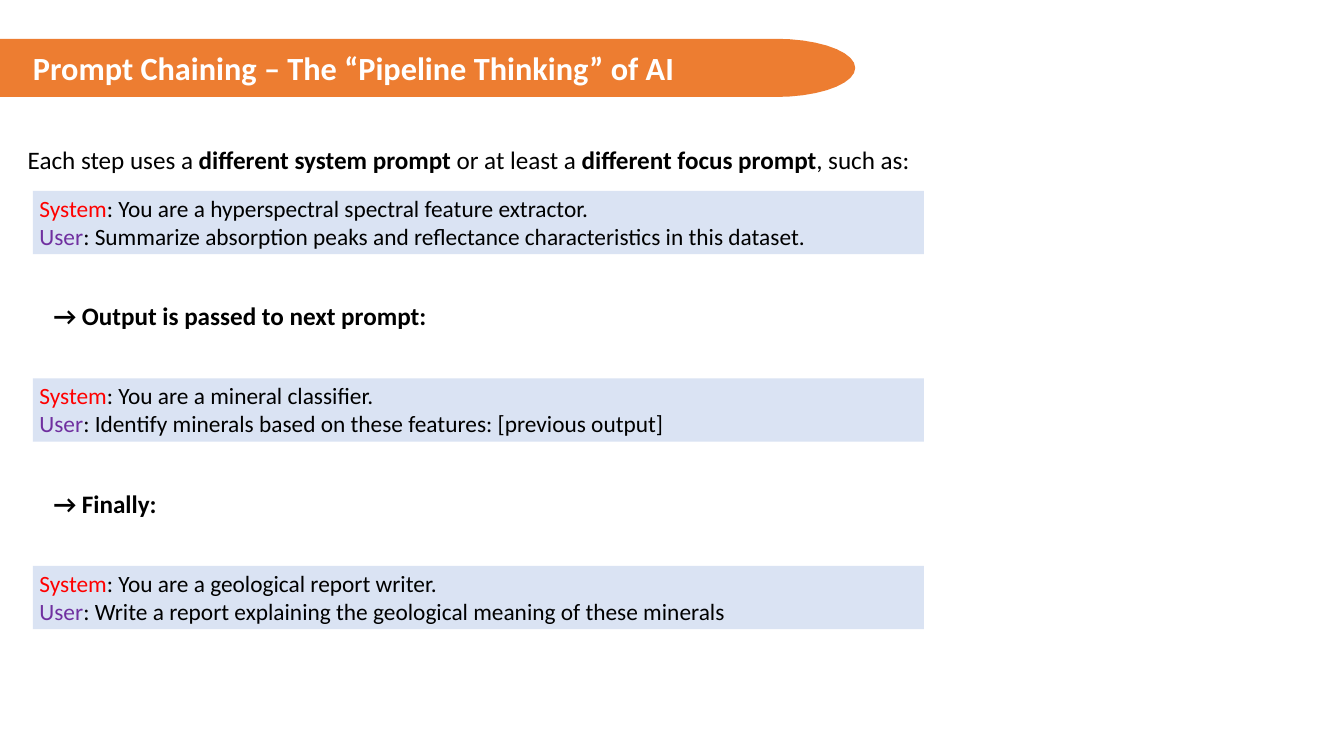
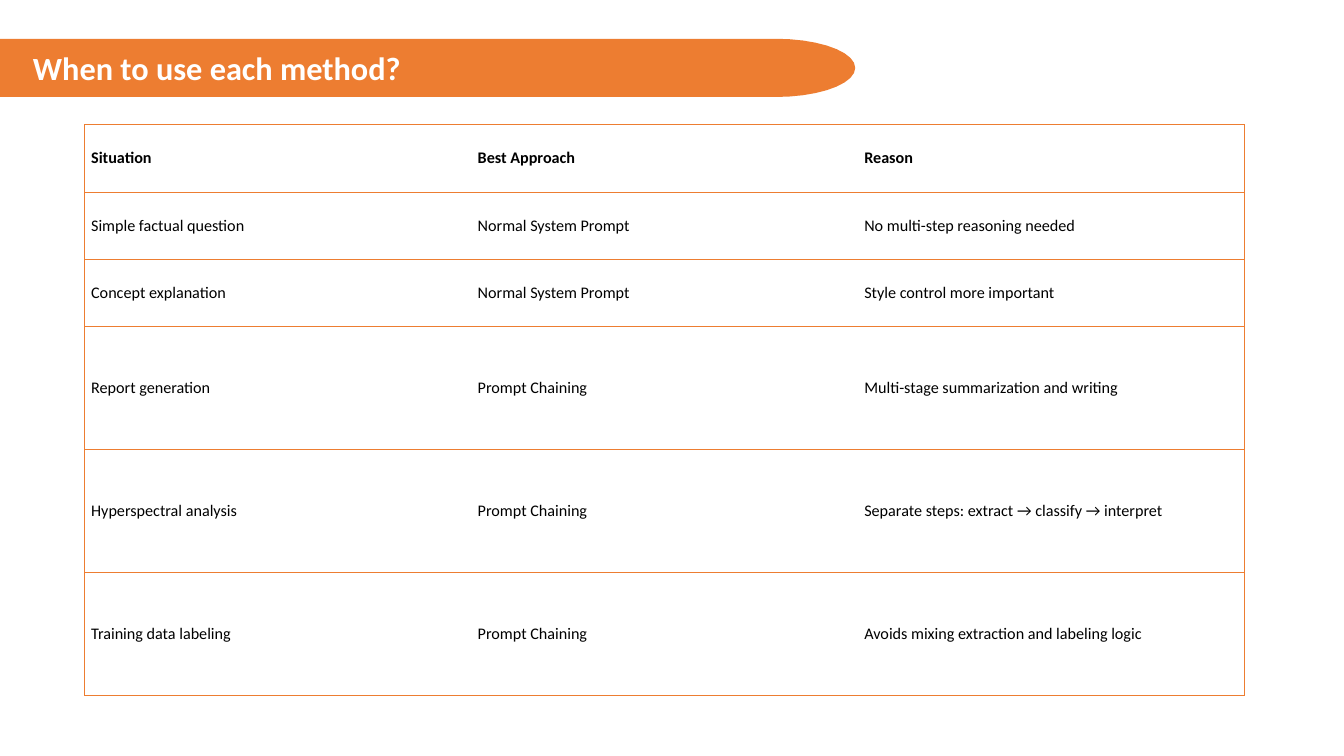
"""Build two slides on prompt chaining: a worked pipeline and a method table."""
import math

from lxml import etree
from pptx import Presentation
from pptx.dml.color import RGBColor
from pptx.enum import shapes, text
from pptx.oxml import ns
from pptx.util import Inches, Pt

FONT = "Calibri"
ORANGE = RGBColor(0xED, 0x7D, 0x31)
PALE_BLUE = RGBColor(0xDA, 0xE3, 0xF3)
RED = RGBColor(0xFF, 0x00, 0x00)
PURPLE = RGBColor(0x70, 0x30, 0xA0)
BLACK = RGBColor(0x00, 0x00, 0x00)
WHITE = RGBColor(0xFF, 0xFF, 0xFF)

CHAIN_TITLE = "Prompt Chaining – The “Pipeline Thinking” of AI"
INTRO = [
    ("Each step uses a ", False),
    ("different system prompt", True),
    (" or at least a ", False),
    ("different focus prompt", True),
    (", such as:", False),
]
PROMPTS = [
    ("You are a hyperspectral spectral feature extractor.",
     "Summarize absorption peaks and reflectance characteristics in this dataset."),
    ("You are a mineral classifier.",
     "Identify minerals based on these features: [previous output]"),
    ("You are a geological report writer.",
     "Write a report explaining the geological meaning of these minerals"),
]
HANDOVERS = ["→ Output is passed to next prompt:", "→ Finally:"]

METHOD_TITLE = "When to use each method?"
METHODS = [
    ("Situation", "Best Approach", "Reason"),
    ("Simple factual question", "Normal System Prompt", "No multi-step reasoning needed"),
    ("Concept explanation", "Normal System Prompt", "Style control more important"),
    ("Report generation", "Prompt Chaining", "Multi-stage summarization and writing"),
    ("Hyperspectral analysis", "Prompt Chaining", "Separate steps: extract → classify → interpret"),
    ("Training data labeling", "Prompt Chaining", "Avoids mixing extraction and labeling logic"),
]
ROW_HEIGHTS = [1.04] * 3 + [1.9] * 3
COLUMN_WIDTH = 5.98

STEP_PITCH = 2.9
BAND_TOP, BAND_HEIGHT = 0.6, 0.9
BAND_STRAIGHT, BAND_CURVE = 12, 1.23


def add_run(paragraph, words, size, color=BLACK, bold=False):
    run = paragraph.add_run()
    run.text = words
    run.font.name = FONT
    run.font.size = Pt(size)
    run.font.bold = bold
    run.font.color.rgb = color


def add_band(slide):
    radius = BAND_HEIGHT / 2
    angles = [math.radians(degrees) for degrees in range(90, -91, -10)]
    curve = [(Inches(BAND_STRAIGHT + BAND_CURVE * math.cos(angle)),
              Inches(BAND_TOP + radius + radius * math.sin(angle))) for angle in angles]
    builder = slide.shapes.build_freeform(0, Inches(BAND_TOP))
    builder.add_line_segments([(0, Inches(BAND_TOP + BAND_HEIGHT))] + curve)
    band = builder.convert_to_shape()
    band.shadow.inherit = False
    band.fill.solid()
    band.fill.fore_color.rgb = ORANGE
    band.line.fill.background()
    return band


def add_titled_slide(presentation, words):
    slide = presentation.slides.add_slide(presentation.slide_layouts[5])
    title = slide.shapes.title
    title.left, title.top = Inches(0.51), Inches(0.74)
    title.width, title.height = Inches(11.97), Inches(0.62)
    frame = title.text_frame
    frame.margin_left = frame.margin_right = frame.margin_bottom = 0
    frame.margin_top = Inches(0.01)
    frame.auto_size = text.MSO_AUTO_SIZE.NONE
    frame.vertical_anchor = text.MSO_ANCHOR.TOP
    paragraph = frame.paragraphs[0]
    paragraph.alignment = text.PP_ALIGN.LEFT
    add_run(paragraph, words, 36, WHITE, True)
    title.element.addprevious(add_band(slide).element)
    return slide


def add_line_of_text(slide, left, top, width, runs):
    box = slide.shapes.add_textbox(Inches(left), Inches(top), Inches(width), Inches(0.57))
    box.text_frame.word_wrap = True
    for words, bold in runs:
        add_run(box.text_frame.paragraphs[0], words, 28, bold=bold)


def add_prompt(slide, top, system, user):
    panel = slide.shapes.add_shape(shapes.MSO_SHAPE.RECTANGLE, Inches(0.51), Inches(top),
                                   Inches(13.78), Inches(0.98))
    panel.shadow.inherit = False
    panel.fill.solid()
    panel.fill.fore_color.rgb = PALE_BLUE
    panel.line.fill.background()
    frame = panel.text_frame
    frame.word_wrap = True
    frame.vertical_anchor = text.MSO_ANCHOR.TOP
    roles = [("System", RED, system), ("User", PURPLE, user)]
    for paragraph, (role, color, words) in zip((frame.paragraphs[0], frame.add_paragraph()), roles):
        paragraph.alignment = text.PP_ALIGN.LEFT
        add_run(paragraph, role, 26, color)
        add_run(paragraph, ": " + words, 26)


def set_borders(cell, drawn):
    properties = cell._tc.get_or_add_tcPr()
    for position, side in enumerate("LRTB"):
        border = etree.Element(ns.qn(f"a:ln{side}"), w=str(Pt(1)))
        if side in drawn:
            fill = etree.SubElement(border, ns.qn("a:solidFill"))
            etree.SubElement(fill, ns.qn("a:srgbClr"), val=str(ORANGE))
        else:
            etree.SubElement(border, ns.qn("a:noFill"))
        properties.insert(position, border)


def add_method_table(slide):
    columns = len(METHODS[0])
    table = slide.shapes.add_table(len(METHODS), columns, Inches(1.31), Inches(1.93),
                                   Inches(COLUMN_WIDTH * columns), Inches(sum(ROW_HEIGHTS))).table
    table.first_row = table.horz_banding = False
    for column in table.columns:
        column.width = Inches(COLUMN_WIDTH)
    edges = {0: "LTB", columns - 1: "RTB"}
    for row_index, (row, height) in enumerate(zip(METHODS, ROW_HEIGHTS)):
        table.rows[row_index].height = Inches(height)
        for column_index, words in enumerate(row):
            cell = table.cell(row_index, column_index)
            cell.vertical_anchor = text.MSO_ANCHOR.MIDDLE
            cell.fill.solid()
            cell.fill.fore_color.rgb = WHITE
            set_borders(cell, edges.get(column_index, "TB"))
            add_run(cell.text_frame.paragraphs[0], words, 18, bold=row_index == 0)


def main():
    presentation = Presentation()
    presentation.slide_width, presentation.slide_height = Inches(20.79), Inches(11.69)

    chain = add_titled_slide(presentation, CHAIN_TITLE)
    add_line_of_text(chain, 0.33, 2.18, 14.86, INTRO)
    for index, (system, user) in enumerate(PROMPTS):
        add_prompt(chain, 2.95 + index * STEP_PITCH, system, user)
    for index, words in enumerate(HANDOVERS):
        add_line_of_text(chain, 0.73, 4.6 + index * STEP_PITCH, 10.4, [(words, True)])

    add_method_table(add_titled_slide(presentation, METHOD_TITLE))
    presentation.save("out.pptx")


if __name__ == "__main__":
    main()
